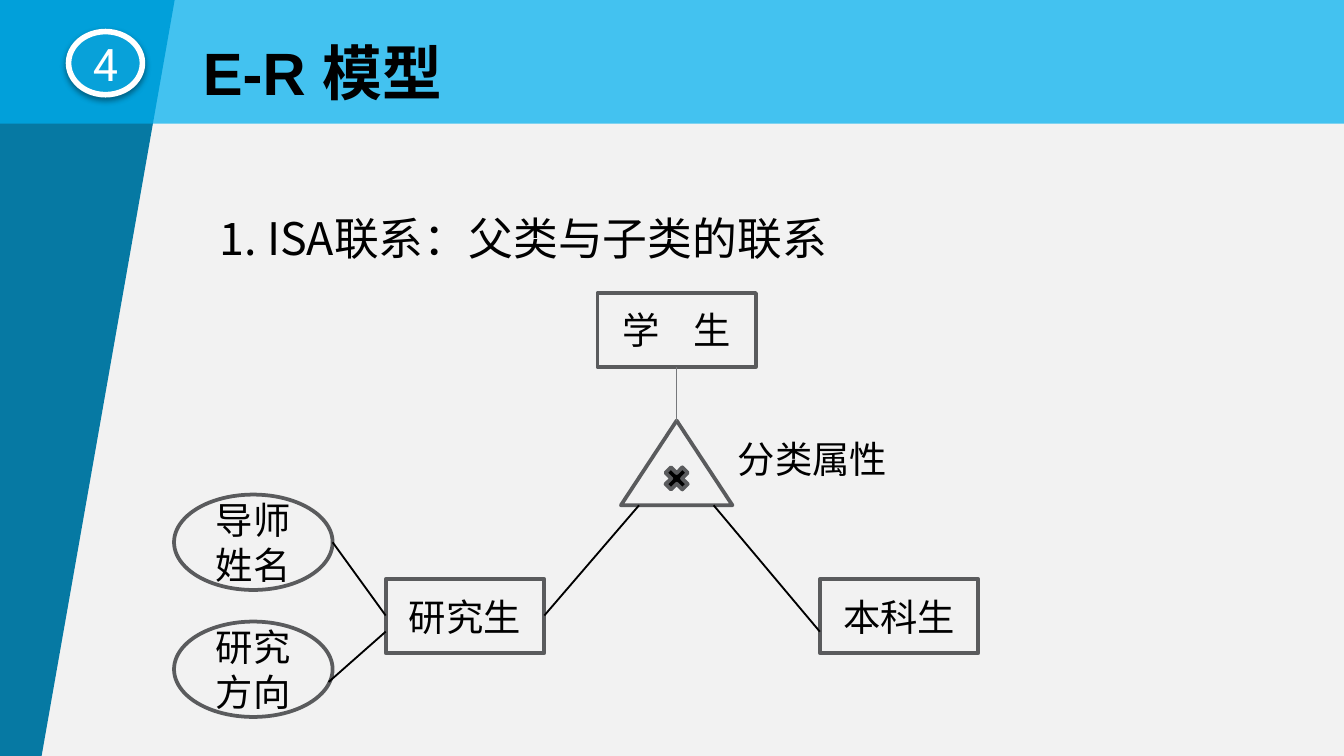
from dataclasses import dataclass

from lxml import etree
from pptx import Presentation
from pptx.dml.color import RGBColor
from pptx.enum.shapes import MSO_CONNECTOR, MSO_SHAPE
from pptx.enum.text import MSO_ANCHOR, MSO_AUTO_SIZE, PP_ALIGN
from pptx.oxml import parse_xml
from pptx.oxml.ns import nsdecls, qn
from pptx.util import Pt

RECTANGLE, ELLIPSE = MSO_SHAPE.RECTANGLE, MSO_SHAPE.OVAL
TRIANGLE, MULTIPLY = MSO_SHAPE.ISOSCELES_TRIANGLE, MSO_SHAPE.MATH_MULTIPLY
STRAIGHT = MSO_CONNECTOR.STRAIGHT
LEFT, CENTER = PP_ALIGN.LEFT, PP_ALIGN.CENTER
TOP, MIDDLE = MSO_ANCHOR.TOP, MSO_ANCHOR.MIDDLE
FIXED = MSO_AUTO_SIZE.NONE

SCALE = 4572  # EMU per px, 200 px to the inch
SLIDE_SIZE = (2000, 1125)


@dataclass(frozen=True)
class Theme:
    background: str = "F2F2F2"
    wedge: str = "0679A3"
    band: str = "00B0F0"
    badge: str = "08A1D9"
    white: str = "FFFFFF"
    ink: str = "000000"
    outline: str = "5A5B5D"
    stem: str = "76787B"
    font: str = "Arial"
    chinese_font: str = "Noto Sans CJK SC"
    badge_font: str = "Roboto"
    title_size: int = 32
    heading_size: int = 24
    label_size: int = 20


THEME = Theme()


def emu(*lengths):
    return [length * SCALE for length in lengths]


def within(box, left, top, width, height):
    return box[0] + left, box[1] + top, width, height


def place(shape, box):
    shape.left, shape.top, shape.width, shape.height = emu(*box)


def write(shape, text, size, font, color=THEME.ink, align=CENTER, anchor=MIDDLE, bold=False):
    frame = shape.text_frame
    frame.text = text
    frame.word_wrap = True
    frame.auto_size = FIXED
    frame.vertical_anchor = anchor
    paragraph = frame.paragraphs[0]
    paragraph.alignment = align
    for run in paragraph.runs:
        run.font.size = Pt(size)
        run.font.bold = bold
        run.font.name = font
        run.font.color.rgb = RGBColor.from_string(color)
        east_asian = etree.SubElement(run.font._element, qn("a:ea"))
        east_asian.set("typeface", THEME.chinese_font)
    return paragraph


def paint(shape, fill=None, line=None, weight=2):
    shape.shadow.inherit = False
    if fill:
        shape.fill.solid()
        shape.fill.fore_color.rgb = RGBColor.from_string(fill)
    else:
        shape.fill.background()
    if line:
        shape.line.color.rgb = RGBColor.from_string(line)
        shape.line.width = Pt(weight)
    else:
        shape.line.fill.background()


def add_shape(slide, kind, box, **colors):
    shape = slide.shapes.add_shape(kind, *emu(*box))
    paint(shape, **colors)
    return shape


def add_line(slide, box, start, end, color, weight):
    x, y = box[:2]
    ends = emu(x + start[0], y + start[1], x + end[0], y + end[1])
    line = slide.shapes.add_connector(STRAIGHT, *ends)
    line.line.color.rgb = RGBColor.from_string(color)
    line.line.width = Pt(weight)
    etree.SubElement(line._element.spPr, qn("a:effectLst"))


def bring_to_front(slide, shape):
    slide.shapes._spTree.append(shape._element)


def draw_wedge(slide, box):
    left, top, width, height = box
    builder = slide.shapes.build_freeform(left, top, scale=SCALE)
    builder.add_line_segments([
        (left + width, top),
        (left + 62, top + height),
        (left, top + height),
    ])
    paint(builder.convert_to_shape(), fill=THEME.wedge)


def draw_header(slide, box):
    # Translucent band
    band = add_shape(slide, RECTANGLE, box, fill=THEME.band)
    color = band._element.spPr.find(".//" + qn("a:srgbClr"))
    etree.SubElement(color, qn("a:alpha")).set("val", "72000")

    # Title
    title = slide.shapes.title
    place(title, within(box, 282, 43, 434, 128))
    write(title, "E-R 模型", THEME.title_size, THEME.font, align=LEFT, anchor=TOP, bold=True)
    bring_to_front(slide, title)

    # Numbered badge with a soft shadow
    badge = add_shape(slide, ELLIPSE, within(box, 102, 47, 110, 94),
                      fill=THEME.badge, line=THEME.white, weight=3)
    write(badge, "4", THEME.heading_size, THEME.badge_font, THEME.white)
    badge._element.spPr.find(qn("a:effectLst")).append(parse_xml(
        f'<a:outerShdw {nsdecls("a")} blurRad="{Pt(3.1)}" dist="{Pt(1.6)}" dir="5400000"'
        f' rotWithShape="0"><a:srgbClr val="{THEME.ink}"><a:alpha val="38000"/>'
        '</a:srgbClr></a:outerShdw>'))


def draw_heading(slide, box):
    heading = slide.placeholders[1]
    place(heading, box)
    paragraph = write(heading, "1. ISA联系：父类与子类的联系", THEME.heading_size,
                      THEME.chinese_font, align=LEFT, anchor=TOP)
    paragraph.space_before = Pt(0)
    properties = paragraph._p.get_or_add_pPr()
    properties.set("marL", "0")
    properties.set("indent", "0")
    etree.SubElement(properties, qn("a:buNone"))
    bring_to_front(slide, heading)


def draw_diagram(slide, box):
    # Entities and attributes
    nodes = [
        (RECTANGLE, "学    生", 630, 0, 110, THEME.font),
        (RECTANGLE, "研究生", 315, 426, 110, THEME.font),
        (RECTANGLE, "本科生", 961, 426, 110, THEME.font),
        (ELLIPSE, "导师姓名", 0, 300, 142, THEME.chinese_font),
        (ELLIPSE, "研究方向", 0, 489, 142, THEME.chinese_font),
    ]
    for kind, text, left, top, height, font in nodes:
        node = add_shape(slide, kind, within(box, left, top, 236, height), line=THEME.outline)
        write(node, text, THEME.label_size, font)

    # ISA triangle and its mark
    add_shape(slide, TRIANGLE, within(box, 665, 190, 166, 126), line=THEME.outline)
    add_shape(slide, MULTIPLY, within(box, 724, 252, 48, 48), fill=THEME.ink, line=THEME.outline)

    # Links
    add_line(slide, box, (748, 110), (748, 190), THEME.stem, 0.75)
    links = [
        ((692, 316), (551, 480)),
        ((803, 316), (961, 504)),
        ((315, 480), (236, 371)),
        ((315, 504), (230, 579)),
    ]
    for start, end in links:
        add_line(slide, box, start, end, THEME.ink, 1)

    # Classification label
    label = slide.shapes.add_textbox(*emu(*within(box, 819, 204, 284, 80)))
    write(label, "分类属性", THEME.label_size, THEME.chinese_font, align=LEFT, anchor=TOP)


def main():
    presentation = Presentation()
    presentation.slide_width, presentation.slide_height = emu(*SLIDE_SIZE)
    slide = presentation.slides.add_slide(presentation.slide_layouts[1])
    slide.background.fill.solid()
    slide.background.fill.fore_color.rgb = RGBColor.from_string(THEME.background)

    draw_wedge(slide, (0, 0, 260, 1125))
    draw_header(slide, (0, 0, 2000, 184))
    draw_heading(slide, (307, 304, 1102, 100))
    draw_diagram(slide, (259, 436, 1197, 631))
    presentation.save("out.pptx")


if __name__ == "__main__":
    main()
